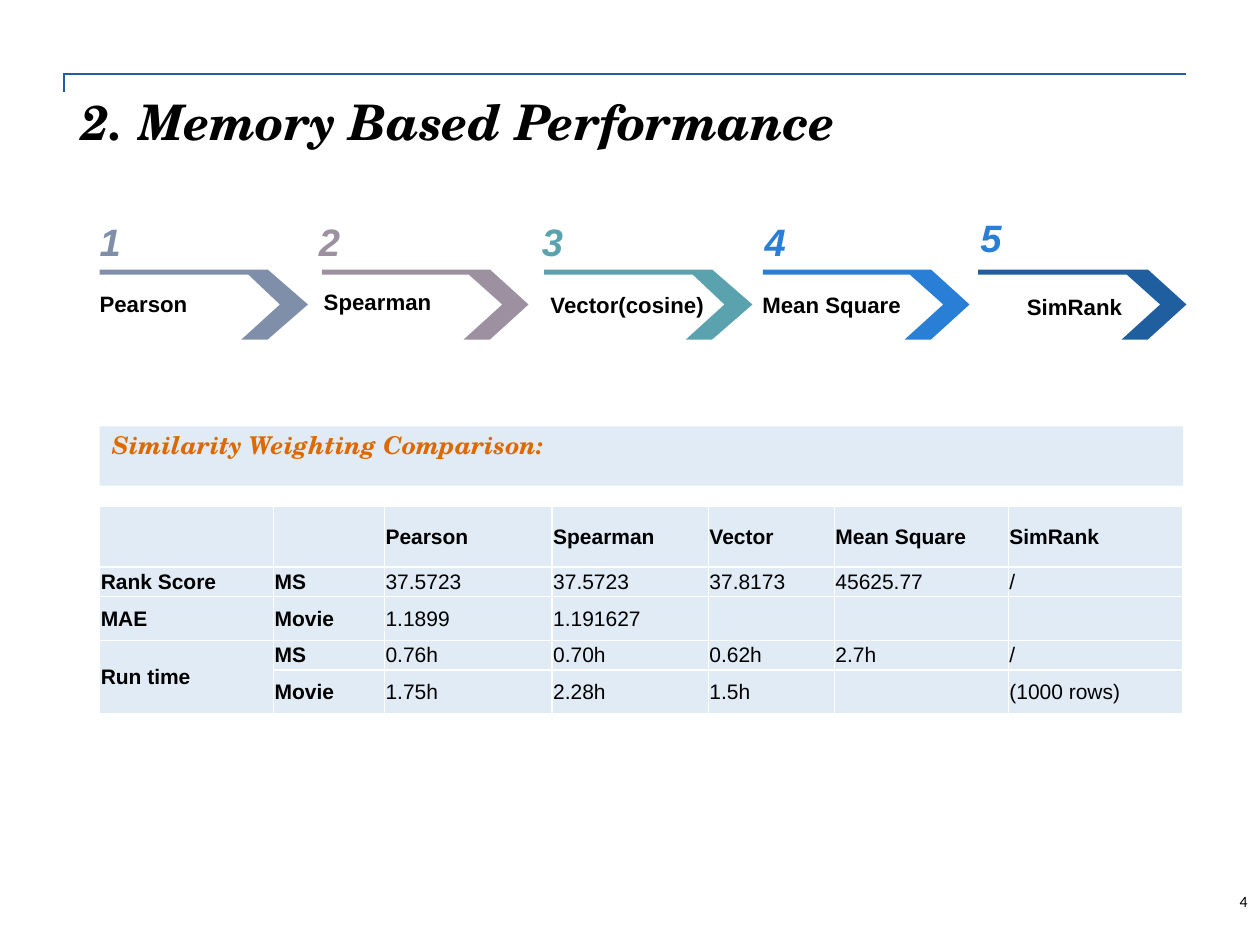
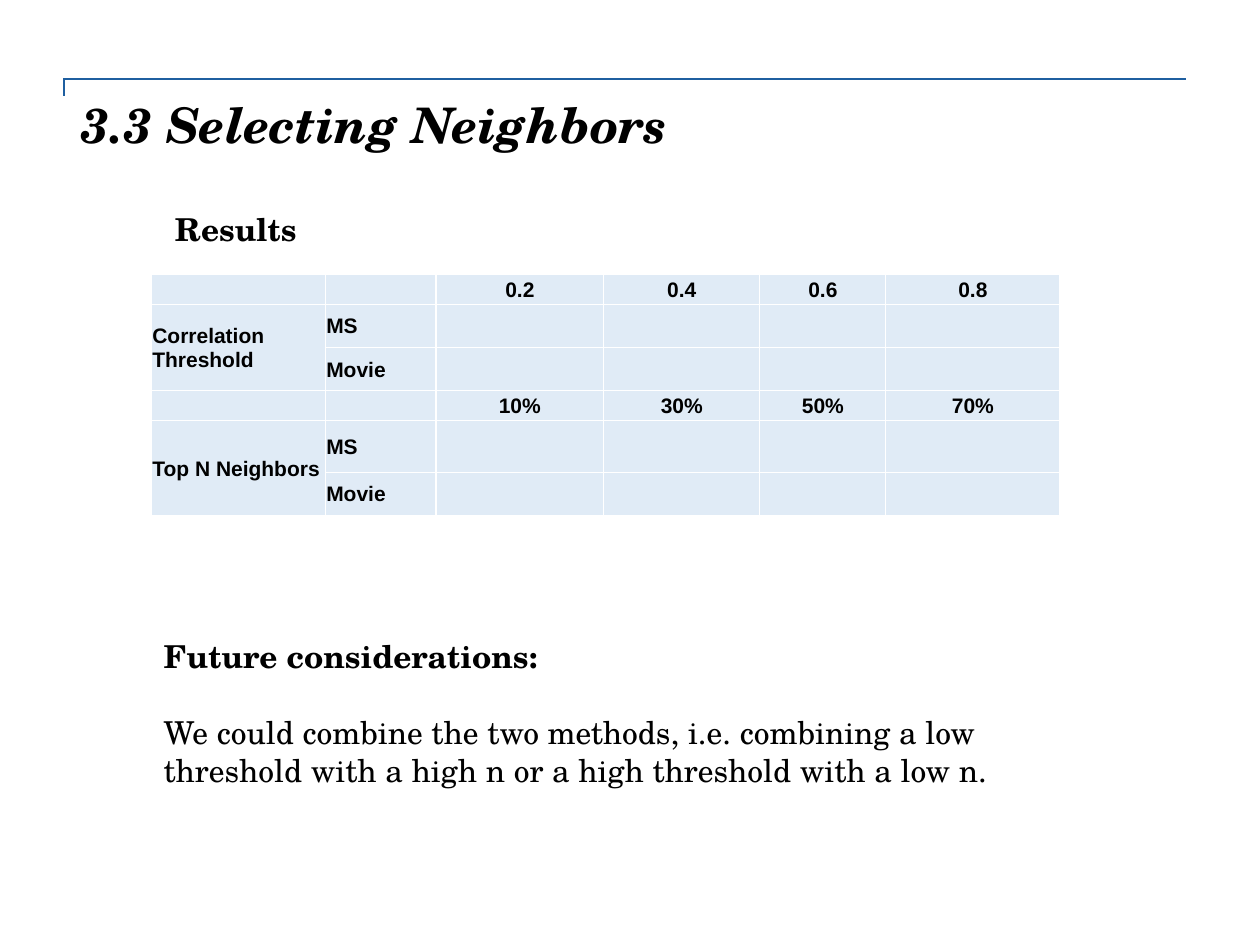
"""Build two slides on similarity weighting and on selecting neighbors."""
from dataclasses import dataclass

from lxml.etree import SubElement
from pptx import Presentation
from pptx.dml.color import RGBColor
from pptx.enum.shapes import MSO_SHAPE
from pptx.enum.text import MSO_ANCHOR, MSO_AUTO_SIZE, PP_ALIGN
from pptx.oxml import parse_xml
from pptx.oxml.ns import nsdecls, qn
from pptx.util import Pt

BLACK, WHITE = "000000", "FFFFFF"
NAVY, BLUE, PALE, ORANGE = "1F5FA0", "297FD5", "E0EBF6", "DC6900"
SLATE, MAUVE, TEAL = "7F8FA9", "9D90A0", "5AA2AE"
SERIF, SANS = "TeX Gyre Schola", "Arial"
TITLE_FONT = {"name": SERIF, "size": Pt(28), "bold": True, "italic": True}
NUMBER_FONT = {"name": SANS, "size": Pt(21.8), "bold": True, "italic": True}
LABEL_FONT = {"name": SANS, "size": Pt(12.7), "bold": True}
BANNER_FONT = {"name": SERIF, "size": Pt(14), "bold": True, "italic": True}
HEADING_FONT = {"name": SERIF, "size": Pt(18), "bold": True}
BODY_FONT = {"name": SERIF, "size": Pt(18), "bold": False}
CELL_FONT = {"name": SANS, "size": Pt(12)}
NO_MARGINS = {"margin_left": 0, "margin_top": 0, "margin_right": 0, "margin_bottom": 0}
LABEL_MARGINS = {**NO_MARGINS, "margin_top": Pt(2.9)}
CELL_MARGINS = {**dict.fromkeys(NO_MARGINS, Pt(0.7)), "margin_bottom": 0}
CHEVRON_TOP = 154
CHEVRON = [(0, 0), (96.2, 0), (118.8, 20.2), (96.2, 40.3), (81.4, 40.3),
           (103.3, 20.2), (84.6, 3), (0, 3)]


@dataclass(frozen=True)
class Box:
    left: float
    top: float
    width: float
    height: float

    def lengths(self) -> tuple:
        return tuple(Pt(v) for v in (self.left, self.top, self.width, self.height))


@dataclass(frozen=True)
class Step:
    left: float
    color: str
    number: Box
    number_color: str
    name: str
    label: Box


@dataclass(frozen=True)
class Grid:
    box: Box
    widths: list
    heights: list
    rows: list
    header_rows: set
    spans: list
    value_align: PP_ALIGN


STEPS = [
    Step(56.9, SLATE, Box(56.9, 124.6, 29, 34), SLATE, "Pearson", Box(56.9, 162.7, 157, 40)),
    Step(183.6, MAUVE, Box(182.2, 124.6, 29, 34), MAUVE, "Spearman", Box(185, 162, 121, 40)),
    Step(311, TEAL, Box(309.6, 124.6, 29, 34), TEAL, "Vector(cosine)", Box(314.6, 163.4, 117, 40)),
    Step(435.6, BLUE, Box(437, 124.6, 29, 34), BLUE, "Mean Square", Box(435.6, 163.4, 142.6, 40)),
    Step(559.4, NAVY, Box(560.2, 122.4, 29, 34), BLUE, "SimRank", Box(586.8, 164.9, 130, 40)),
]
COLUMNS = [99.4, 63.4, 95.8, 89.3, 72, 99.4, 99.4]
COMPARISON = Grid(
    Box(56.9, 289.4, 619.2, 118.8), COLUMNS, [34.6, 17.1, 24.7, 17.1, 24.7],
    [["", "", "Pearson", "Spearman", "Vector", "Mean Square", "SimRank"],
     ["Rank Score", "MS", "37.5723", "37.5723", "37.8173", "45625.77", "/"],
     ["MAE", "Movie", "1.1899", "1.191627", "", "", ""],
     ["Run time", "MS", "0.76h", "0.70h", "0.62h", "2.7h", "/"],
     ["", "Movie", "1.75h", "2.28h", "1.5h", "", "(1000 rows)"]],
    {0}, [(3, 4)], PP_ALIGN.LEFT)
RESULTS = Grid(
    Box(86.4, 157, 519.1, 138.2), COLUMNS[:6], [16.9, 24.7, 24.7, 17.1, 29.5, 24.7],
    [["", "", "0.2", "0.4", "0.6", "0.8"],
     ["Correlation Threshold", "MS", "", "", "", ""],
     ["", "Movie", "", "", "", ""],
     ["", "", "10%", "30%", "50%", "70%"],
     ["Top N Neighbors", "MS", "", "", "", ""],
     ["", "Movie", "", "", "", ""]],
    {0, 3}, [(1, 2), (4, 5)], PP_ALIGN.CENTER)


def rgb(value: str) -> RGBColor:
    return RGBColor.from_string(value)


def set_all(target, values: dict) -> None:
    for attribute, value in values.items():
        setattr(target, attribute, value)


def write(paragraph, text: str, font: dict, color: str = BLACK) -> None:
    run = paragraph.add_run()
    run.text = text
    set_all(run.font, font)
    run.font.color.rgb = rgb(color)


def add_text(slide, box: Box, text: str, font: dict, color: str = BLACK, **frame_values):
    frame = slide.shapes.add_textbox(*box.lengths()).text_frame
    set_all(frame, {"word_wrap": True, **frame_values})
    write(frame.paragraphs[0], text, font, color)
    return frame


def set_borders(cell, sides: str, color: str, width: float) -> None:
    for index, side in enumerate(sides):
        cell._tc.get_or_add_tcPr().insert(index, parse_xml(
            f'<a:ln{side} {nsdecls("a")} w="{Pt(width)}"><a:solidFill>'
            f'<a:srgbClr val="{color}"/></a:solidFill></a:ln{side}>'))


def size_empty_cell(cell, size: int) -> None:
    SubElement(cell.text_frame.paragraphs[0]._p, qn("a:endParaRPr"), sz=str(size * 100))


def add_plain_table(slide, box: Box, rows: int, columns: int):
    table = slide.shapes.add_table(rows, columns, *box.lengths()).table
    set_all(table, {"first_row": False, "horz_banding": False})
    return table


def add_grid(slide, grid: Grid) -> None:
    table = add_plain_table(slide, grid.box, len(grid.heights), len(grid.widths))
    for column, width in zip(table.columns, grid.widths):
        column.width = Pt(width)
    for r, (height, texts) in enumerate(zip(grid.heights, grid.rows)):
        table.rows[r].height = Pt(height)
        for c, text in enumerate(texts):
            cell = table.cell(r, c)
            set_all(cell, {**CELL_MARGINS, "vertical_anchor": MSO_ANCHOR.MIDDLE})
            cell.fill.solid()
            cell.fill.fore_color.rgb = rgb(PALE)
            set_borders(cell, "LRTB", WHITE, 0.75)
            paragraph = cell.text_frame.paragraphs[0]
            paragraph.alignment = grid.value_align if c > 1 else PP_ALIGN.LEFT
            if text:
                bold = c < 2 or r in grid.header_rows
                write(paragraph, text, {**CELL_FONT, "bold": bold})
            else:
                size_empty_cell(cell, 12)
    for first, last in grid.spans:
        table.cell(first, 0).merge(table.cell(last, 0))


def add_titled_slide(deck, title: str, title_top: float, rule: Box):
    slide = deck.slides.add_slide(deck.slide_layouts[5])
    corner = add_plain_table(slide, rule, 1, 1).cell(0, 0)
    set_all(corner, NO_MARGINS)
    corner.fill.background()
    set_borders(corner, "LT", NAVY, 1)
    size_empty_cell(corner, 6)
    heading = slide.shapes.title
    place = Box(39.6, title_top, 635.8, 72).lengths()
    set_all(heading, dict(zip(("left", "top", "width", "height"), place)))
    frame = heading.text_frame
    set_all(frame, {"word_wrap": True, "auto_size": MSO_AUTO_SIZE.NONE,
                    "vertical_anchor": MSO_ANCHOR.TOP})
    set_all(frame.paragraphs[0], {"alignment": PP_ALIGN.LEFT, "line_spacing": 0.9})
    write(frame.paragraphs[0], title, TITLE_FONT)
    return slide


def paint(shape, color: str) -> None:
    shape.shadow.inherit = False
    shape.fill.solid()
    shape.fill.fore_color.rgb = rgb(color)
    shape.line.fill.background()


def add_step(slide, number: int, step: Step) -> None:
    points = [(step.left + x, CHEVRON_TOP + y) for x, y in CHEVRON]
    outline = slide.shapes.build_freeform(*points[0], scale=float(Pt(1)))
    outline.add_line_segments(points[1:], close=True)
    paint(outline.convert_to_shape(), step.color)
    add_text(slide, step.label, step.name, LABEL_FONT, **LABEL_MARGINS)
    add_text(slide, step.number, str(number), NUMBER_FONT, step.number_color, **NO_MARGINS)


def build_performance(deck) -> None:
    slide = add_titled_slide(deck, "2. Memory Based Performance", 52.6,
                             Box(36.7, 42.3, 641.5, 10))
    for number, step in enumerate(STEPS, start=1):
        add_step(slide, number, step)
    banner = slide.shapes.add_shape(MSO_SHAPE.RECTANGLE, *Box(56.9, 243.6, 619.2, 34).lengths())
    paint(banner, PALE)
    set_all(banner.text_frame, {"word_wrap": True, "vertical_anchor": MSO_ANCHOR.TOP,
                                "margin_top": Pt(2), "margin_bottom": 0})
    banner_line = banner.text_frame.paragraphs[0]
    banner_line.alignment = PP_ALIGN.LEFT
    write(banner_line, "Similarity Weighting Comparison:", BANNER_FONT, ORANGE)
    add_grid(slide, COMPARISON)
    page = add_text(slide, Box(558, 500.4, 162, 28.8), "4",
                    {"name": "Calibri", "size": Pt(9)}, vertical_anchor=MSO_ANCHOR.MIDDLE)
    page.paragraphs[0].alignment = PP_ALIGN.RIGHT


def build_neighbors(deck) -> None:
    slide = add_titled_slide(deck, "3.3 Selecting Neighbors", 54,
                             Box(36.7, 45, 641.5, 9.4))
    add_text(slide, Box(87.8, 116.6, 452, 29), "Results", HEADING_FONT, margin_left=Pt(12.2))
    add_grid(slide, RESULTS)
    outlook = add_text(slide, Box(86.4, 360.7, 500.4, 94.3), "Future considerations:",
                       HEADING_FONT)
    outlook.paragraphs[0].space_after = Pt(21.7)
    write(outlook.add_paragraph(),
          "We could combine the two methods, i.e. combining a low threshold with a high n "
          "or a high threshold with a low n.", BODY_FONT)


def main() -> None:
    deck = Presentation()
    set_all(deck, {"slide_width": Pt(720), "slide_height": Pt(540)})
    build_performance(deck)
    build_neighbors(deck)
    deck.save("out.pptx")


if __name__ == "__main__":
    main()
